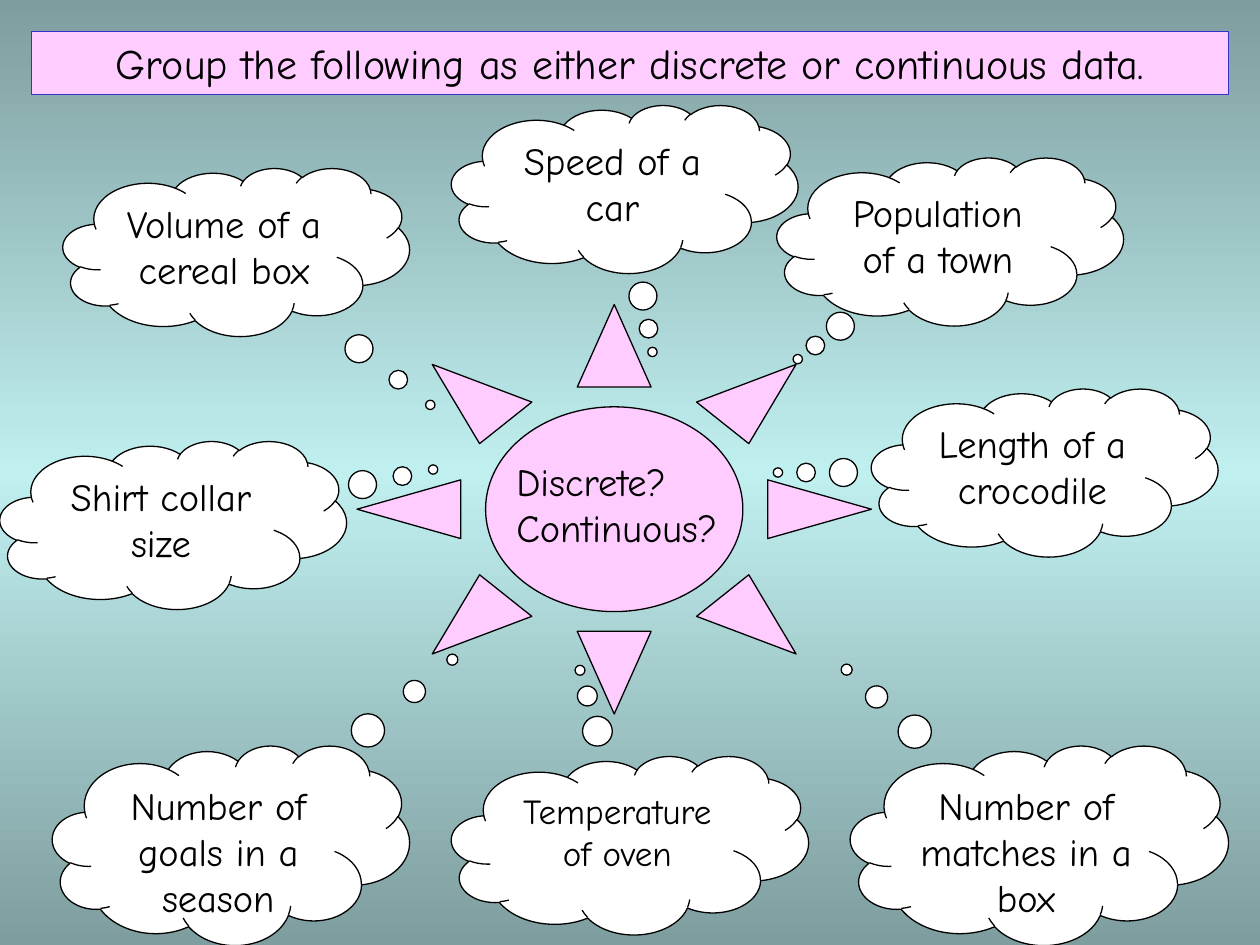
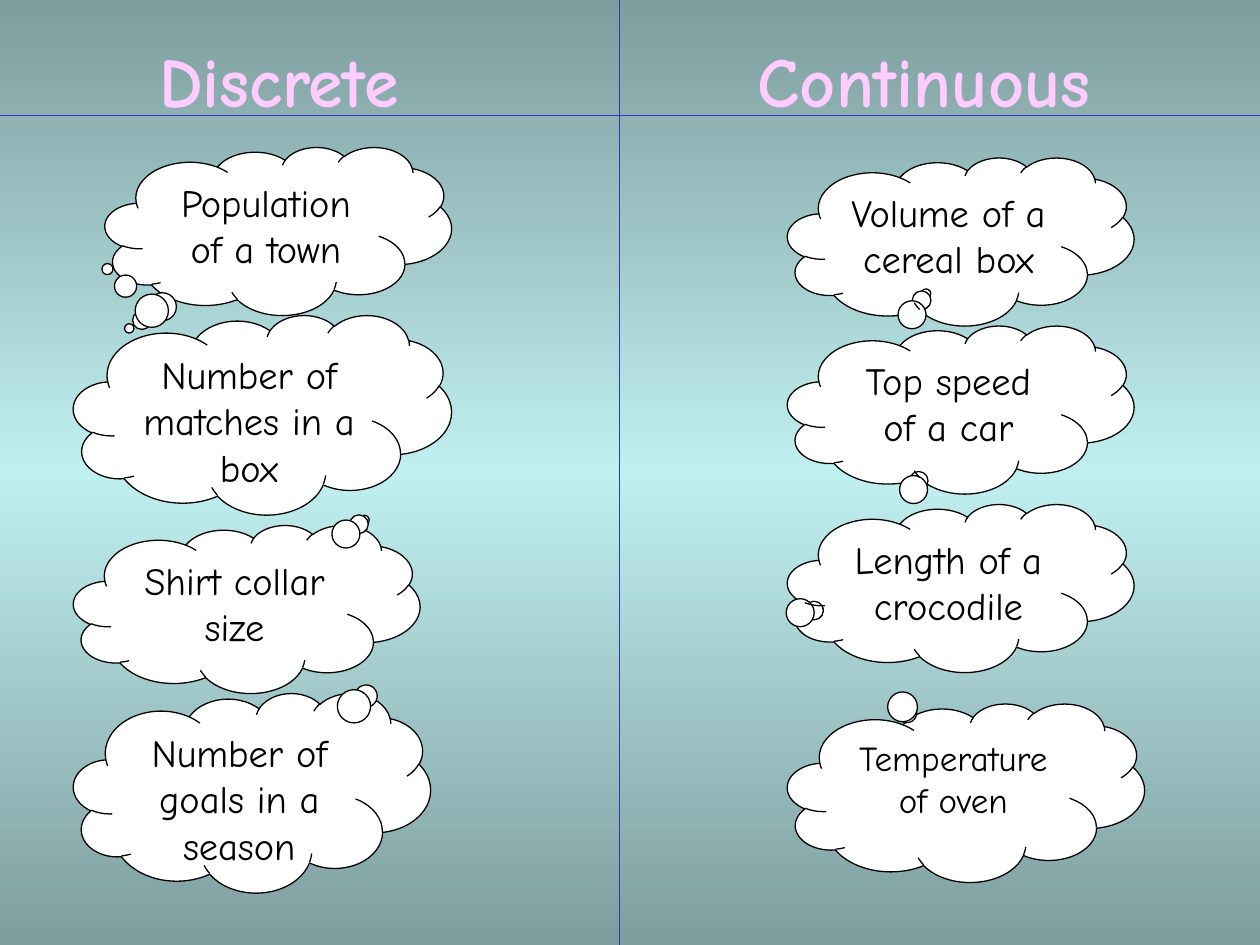
import copy

import lxml.etree
import pptx
import pptx.dml.color
import pptx.enum.shapes
import pptx.enum.text
import pptx.oxml.ns
import pptx.util

# Shared look
BLACK = pptx.dml.color.RGBColor(0x00, 0x00, 0x00)
WHITE = pptx.dml.color.RGBColor(0xFF, 0xFF, 0xFF)
PINK = pptx.dml.color.RGBColor(0xFF, 0xCC, 0xFF)
BLUE = pptx.dml.color.RGBColor(0x33, 0x33, 0xCC)
SLATE = pptx.dml.color.RGBColor(0x7E, 0x9D, 0x9E)
AQUA = pptx.dml.color.RGBColor(0xC0, 0xEF, 0xF0)
FONT = "Comic Neue"
LINE_WIDTH = pptx.util.Pt(0.75)
LEFT = pptx.enum.text.PP_ALIGN.LEFT
CENTER = pptx.enum.text.PP_ALIGN.CENTER
SHAPES = pptx.enum.shapes.MSO_SHAPE

# The slide is a grid of 120 columns by 90 rows, twelve cells to the inch
COLUMNS, ROWS = 120, 90
CELL = pptx.util.Inches(1) // 12

# Cloud wording with its size in columns and rows, and its text size
VOLUME = ("Volume of a cereal box", 33, 16, 22)
POPULATION = ("Population of a town", 33, 16, 22)
GOALS = ("Number of goals in a season", 34, 19, 22)
MATCHES = ("Number of matches in a box", 36, 19, 22)
CROCODILE = ("Length of a crocodile", 33, 16, 22)
COLLAR = ("Shirt collar size", 33, 16, 22)
SPEED = ("Speed of a car", 33, 16, 22)
TOP_SPEED = ("Top speed of a car", 33, 16, 22)
OVEN = ("Temperature of oven", 34, 17, 20)

# Each cloud: wording, left column, top row, and where its bubbles point
QUESTION_CLOUDS = [
    (VOLUME, 6, 16, (0.56, 0.91)),
    (POPULATION, 74, 15, (-0.44, 0.70)),
    (GOALS, 5, 71, (0.62, -0.93)),
    (MATCHES, 81, 71, (-0.51, -0.88)),
    (CROCODILE, 83, 37, (-0.77, 0)),
    (COLLAR, 0, 42, (0.75, -0.33)),
    (SPEED, 43, 10, (0.08, 0.97)),
    (OVEN, 43, 72, (-0.14, -0.98)),
]
ANSWER_CLOUDS = [
    (VOLUME, 75, 15, (-0.10, 0.31)),
    (POPULATION, 10, 14, (-0.43, 0.58)),
    (GOALS, 7, 66, (0.33, -0.50)),
    (MATCHES, 7, 30, (-0.41, -0.73)),
    (CROCODILE, 75, 48, (-0.41, 0.13)),
    (COLLAR, 7, 50, (0.34, -0.53)),
    (TOP_SPEED, 75, 31, (-0.12, 0.42)),
    (OVEN, 75, 67, (-0.17, -0.46)),
]


def cells(*counts):
    return [count * CELL for count in counts]


def add_page(deck):
    """Add a blank page with a slate-aqua-slate vertical gradient."""
    page = deck.slides.add_slide(deck.slide_layouts[6])
    fill = page.background.fill
    fill.gradient()
    fill.gradient_angle = 270
    stop_list = next(page.element.iter(pptx.oxml.ns.qn("a:gsLst")))
    stop_list.append(copy.deepcopy(stop_list[0]))
    for stop, position, color in zip(fill.gradient_stops, (0, 0.5, 1), (SLATE, AQUA, SLATE)):
        stop.position = position
        stop.color.rgb = color
    return page


def write(box, text, size, color=BLACK, align=LEFT, bold=False):
    frame = box.text_frame
    frame.word_wrap = True
    frame.vertical_anchor = pptx.enum.text.MSO_ANCHOR.TOP
    frame.text = text
    para = frame.paragraphs[0]
    para.alignment = align
    font = para.runs[0].font
    font.name, font.size, font.bold = FONT, pptx.util.Pt(size), bold
    font.color.rgb = color


def add_figure(page, kind, area, fill, line=BLACK):
    figure = page.shapes.add_shape(kind, *cells(*area))
    figure.shadow.inherit = False
    figure.fill.solid()
    figure.fill.fore_color.rgb = fill
    figure.line.color.rgb = line
    figure.line.width = LINE_WIDTH
    return figure


def add_label(page, area, text, size, **style):
    write(page.shapes.add_textbox(*cells(*area)), text, size, **style)


def add_clouds(page, clouds):
    for (text, width, height, size), column, row, pointer in clouds:
        cloud = add_figure(page, SHAPES.CLOUD_CALLOUT, (column, row, width, height), WHITE)
        cloud.adjustments[0], cloud.adjustments[1] = pointer
        write(cloud, text, size, align=CENTER)


def add_divider(page, *ends):
    straight = pptx.enum.shapes.MSO_CONNECTOR.STRAIGHT
    divider = page.shapes.add_connector(straight, *cells(*ends))
    divider.line.color.rgb = BLUE
    divider.line.width = LINE_WIDTH
    properties = divider.element.find(pptx.oxml.ns.qn("p:spPr"))
    lxml.etree.SubElement(properties, pptx.oxml.ns.qn("a:effectLst"))


def build_question(page):
    add_clouds(page, QUESTION_CLOUDS)
    add_figure(page, SHAPES.SUN, (34, 29, 49, 39), PINK)
    add_label(page, (48, 43, 23, 10), "Discrete? Continuous?", 22)
    banner = add_figure(page, SHAPES.RECTANGLE, (3, 3, COLUMNS - 6, 6), PINK, BLUE)
    write(banner, "Group the following as either discrete or continuous data.", 24, align=CENTER)


def build_answer(page):
    add_clouds(page, ANSWER_CLOUDS)
    for text, column, width in (("Discrete", 14, 34), ("Continuous", 71, 43)):
        add_label(page, (column, 3, width, 9), text, 40, color=PINK, bold=True)
    add_divider(page, 59, 0, 59, ROWS)
    add_divider(page, 0, 11, COLUMNS, 11)


def main():
    deck = pptx.Presentation()
    deck.slide_width, deck.slide_height = cells(COLUMNS, ROWS)
    build_question(add_page(deck))
    build_answer(add_page(deck))
    deck.save("out.pptx")


if __name__ == "__main__":
    main()
